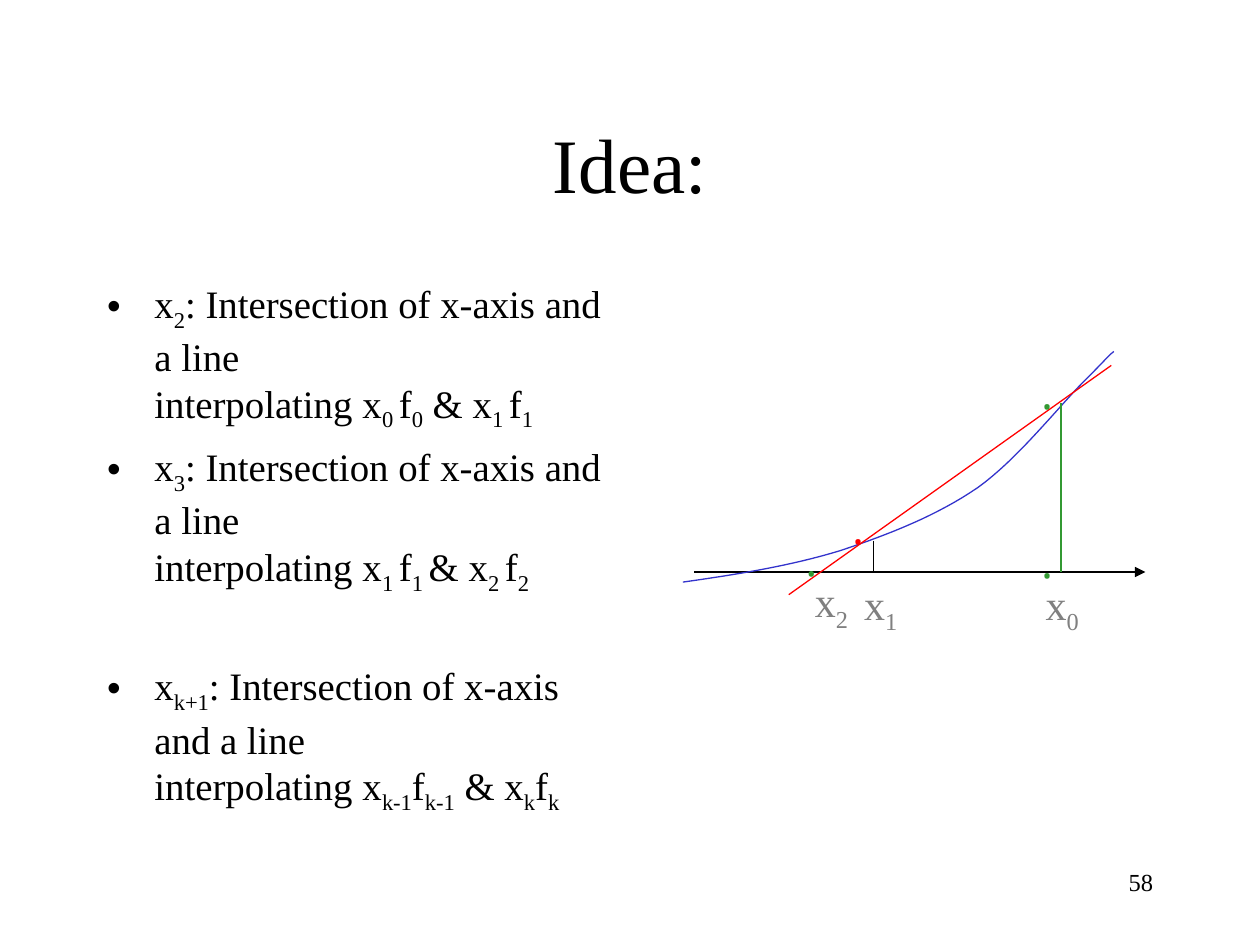
from dataclasses import dataclass

from pptx import Presentation, util as u
from pptx.dml.color import RGBColor
from pptx.enum import text as t
from pptx.enum.shapes import MSO_CONNECTOR
from pptx.oxml.ns import qn
from lxml import etree

PX = u.Inches(1) // 100  # 100 px to the inch


@dataclass(frozen=True)
class Theme:
    font: str = "Times New Roman"
    black: str = "000000"
    grey: str = "808080"
    blue: str = "3333CC"
    red: str = "FF0000"
    green: str = "339933"
    title: float = 44
    body: float = 22.2
    label: float = 24
    small: float = 14
    line: float = 0.75
    gap: float = 6


def cubic(start, curves, steps=16):
    """Points along a chain of Bezier curves, each (control, control, end)."""
    pts = [start]
    for b, c, d in curves:
        a = pts[-1]
        for i in range(1, steps + 1):
            s = i / steps
            r = 1 - s
            pts.append(tuple(
                r**3 * a[k] + 3 * r * r * s * b[k] + 3 * r * s * s * c[k] + s**3 * d[k]
                for k in (0, 1)))
    return pts


class Page:
    """Holds the theme and the current slide."""

    def __init__(self, theme, slide):
        self.th = theme
        self.slide = slide
        self.shapes = slide.shapes

    def place(self, shape, box):
        shape.left, shape.top, shape.width, shape.height = (n * PX for n in box)

    def fill(self, para, words, size, color):
        """Fill a paragraph; text between underscores is subscript."""
        font = para.font
        font.name, font.size = self.th.font, u.Pt(size)
        font.color.rgb = RGBColor.from_string(color)
        for n, row in enumerate(words.split("\n")):
            if n:
                para.add_line_break()
            for i, part in enumerate(row.split("_")):
                if not part:
                    continue
                run = para.add_run()
                run.text = part
                if i % 2:
                    run.font._element.set("baseline", "-25000")

    def title(self, words, box):
        shape = self.shapes.title
        self.place(shape, box)
        para = shape.text_frame.paragraphs[0]
        para.alignment = t.PP_ALIGN.CENTER
        self.fill(para, words, self.th.title, self.th.black)

    def bullets(self, items, box):
        """Fill the body from (words, space before) pairs."""
        shape = self.slide.placeholders[1]
        self.place(shape, box)
        frame = shape.text_frame
        frame.auto_size = t.MSO_AUTO_SIZE.NONE
        for i, (words, gap) in enumerate(items):
            para = frame.add_paragraph() if i else frame.paragraphs[0]
            para.space_before = u.Pt(gap)
            self.fill(para, words, self.th.body, self.th.black)

    def text(self, words, box, size, color, align=None, wrap=False):
        frame = self.shapes.add_textbox(*(n * PX for n in box)).text_frame
        frame.word_wrap = wrap
        if not wrap:
            frame.auto_size = t.MSO_AUTO_SIZE.SHAPE_TO_FIT_TEXT
        para = frame.paragraphs[0]
        para.alignment = align
        self.fill(para, words, size, color)

    def label(self, words, x, y):
        self.text(words, (x, y, 46, 56), self.th.label, self.th.grey)

    def dot(self, x, y, color):
        self.text("‧", (x, y, 53, 50), self.th.label, color)

    def stroke(self, line, color):
        line.color.rgb = RGBColor.from_string(color)
        line.width = u.Pt(self.th.line)

    def line(self, start, end, color, arrow=False):
        shape = self.shapes.add_connector(
            MSO_CONNECTOR.STRAIGHT, *(n * PX for n in start + end))
        self.stroke(shape.line, color)
        props = shape._element.spPr
        if arrow:
            etree.SubElement(props.find(qn("a:ln")), qn("a:tailEnd"), type="triangle")
        etree.SubElement(props, qn("a:effectLst"))

    def curve(self, pts, color):
        pts = [(round(x * PX), round(y * PX)) for x, y in pts]
        pen = self.shapes.build_freeform(*pts[0])
        pen.add_line_segments(pts[1:], close=False)
        shape = pen.convert_to_shape()
        shape.shadow.inherit = False
        shape.fill.background()
        self.stroke(shape.line, color)


def main():
    deck = Presentation()
    deck.slide_width, deck.slide_height = 1000 * PX, 750 * PX
    th = Theme()
    page = Page(th, deck.slides.add_slide(deck.slide_layouts[1]))

    page.text("58", (717, 683, 208, 50), th.small, th.black, t.PP_ALIGN.RIGHT, True)
    page.title("Idea:", (75, 67, 850, 125))
    rule = "x_{}_: Intersection of x-axis and a line\ninterpolating {}"
    page.bullets([
        (rule.format("2", "x_0 _f_0_ & x_1 _f_1"), th.gap),
        (rule.format("3", "x_1 _f_1 _& x_2 _f_2"), th.gap),
        (rule.format("k+1", "x_k-1_f_k-1_ & x_k_f_k"), 38),
    ], (75, 217, 417, 450))

    axis = 454
    page.line((551, axis), (909, axis), th.black, arrow=True)
    page.curve(cubic((542, 462), [
        ((585, 456), (628, 449), (667, 437)),
        ((706, 424), (744, 409), (776, 387)),
        ((807, 365), (841, 322), (859, 304)),
        ((877, 286), (880, 282), (884, 279)),
    ]), th.blue)
    page.line((626, 472), (882, 290), th.red)
    page.line((842, 320), (842, axis), th.green)
    page.line((693, 429), (693, axis), th.black)

    for words, x, y in (("x_0", 820, axis), ("x_1", 676, axis), ("x_2", 637, 452)):
        page.label(words, x, y)
    for x, y, color in ((630, 427, th.green), (817, 295, th.green),
                        (667, 402, th.red), (817, 429, th.green)):
        page.dot(x, y, color)

    deck.save("out.pptx")


if __name__ == "__main__":
    main()
